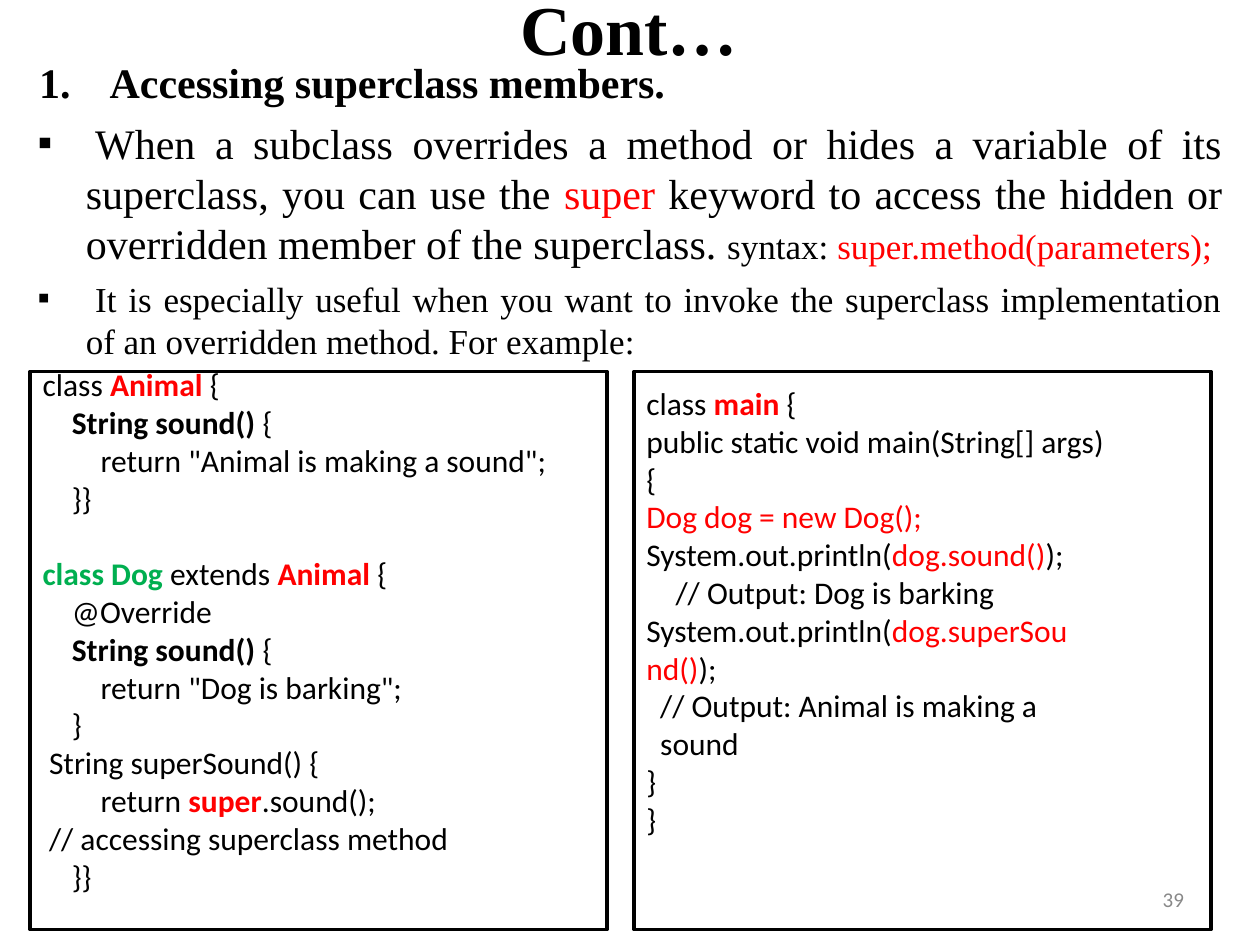
import pptx
import pptx.dml.color
import pptx.enum.shapes
import pptx.enum.text
import pptx.util
from lxml import etree
from pptx.oxml.ns import qn

Cm = pptx.util.Cm
Pt = pptx.util.Pt
ALIGN = pptx.enum.text.PP_ALIGN

COLORS = {"black": "000000", "red": "FF0000", "green": "00AF50", "gray": "888888"}
# run style: (colour, bold, size)
STYLES = {
    "red": ("red", None, None),
    "red small": ("red", None, 20),
    "small": (None, None, 20),
    "normal": (None, None, 24),
    "red normal": ("red", None, 24),
    "bold": (None, True, None),
    "red bold": ("red", True, None),
    "green bold": ("green", True, None),
}


def rgb(name):
    return pptx.dml.color.RGBColor.from_string(COLORS[name])


class SlideWriter:
    def __init__(self, slide):
        self.slide = slide

    def prepare(self, shape, top_inset=0):
        frame = shape.text_frame
        frame.word_wrap = True
        frame.vertical_anchor = pptx.enum.text.MSO_ANCHOR.TOP
        frame.margin_left = frame.margin_right = frame.margin_bottom = 0
        frame.margin_top = Cm(top_inset)
        return frame

    def text_box(self, left, top, width, height, top_inset=0):
        box = self.slide.shapes.add_textbox(Cm(left), Cm(top), Cm(width), Cm(height))
        return self.prepare(box, top_inset)

    def paragraph(self, frame, runs, font, size=None, color="black", bold=False,
                  align=ALIGN.LEFT, before=0, left=0, hang=0, right=0,
                  bullet=None, tabs=(), line=None):
        """Add runs given as plain strings or (text, style name) pairs."""
        first = frame.paragraphs[0]
        para = frame.add_paragraph() if first.runs else first
        para.alignment = align
        para.space_before = Pt(before)
        if line:
            para.line_spacing = line
        props = para._p.get_or_add_pPr()
        props.set("marL", str(Cm(left)))
        props.set("indent", str(-Cm(hang)))
        if right:
            props.set("marR", str(Cm(right)))
        if bullet == "number":
            etree.SubElement(props, qn("a:buAutoNum"), type="arabicPeriod")
        elif bullet:
            etree.SubElement(props, qn("a:buFont"), typeface=font)
            etree.SubElement(props, qn("a:buChar"), char=bullet)
        if tabs:
            stops = etree.SubElement(props, qn("a:tabLst"))
            for stop in tabs:
                etree.SubElement(stops, qn("a:tab"), pos=str(Cm(stop)), algn="l")
        para.font.name = font
        para.font.bold = bold
        para.font.color.rgb = rgb(color)
        if size:
            para.font.size = Pt(size)
        for part in runs:
            text, style = (part, None) if isinstance(part, str) else part
            run = para.add_run()
            run.text = text
            if style:
                run_color, run_bold, run_size = STYLES[style]
                if run_color:
                    run.font.color.rgb = rgb(run_color)
                if run_bold:
                    run.font.bold = True
                if run_size:
                    run.font.size = Pt(run_size)

    def code_box(self, left, lines, top_inset=0, first_line=None):
        """Draw a framed listing; each line is (indent, runs, paragraph options)."""
        box = self.slide.shapes.add_shape(
            pptx.enum.shapes.MSO_SHAPE.RECTANGLE, Cm(left), Cm(7.49), Cm(11.63), Cm(11.25))
        box.shadow.inherit = False
        box.fill.background()
        box.line.color.rgb = rgb("black")
        box.line.width = Pt(2)
        frame = self.prepare(box, top_inset)
        for number, (indent, runs, options) in enumerate(lines):
            self.paragraph(frame, runs, "Calibri", 18, left=indent,
                           line=None if number else first_line, **options)


OUTER, NARROW, MEMBER, BODY = 0.25, 0.38, 0.84, 1.42
NARROWED = {"right": 2.87}

ANIMAL_AND_DOG = [
    (OUTER, ["class ", ("Animal ", "red bold"), "{"], {}),
    (MEMBER, [("String sound() ", "bold"), "{"], {}),
    (BODY, ['return "Animal is making a sound";'], {}),
    (MEMBER, ["}}"], {}),
    (OUTER, [("class Dog ", "green bold"), "extends ", ("Animal ", "red bold"), "{"],
     {"before": 21.6}),
    (MEMBER, ["@Override"], {}),
    (MEMBER, [("String sound() ", "bold"), "{"], {}),
    (BODY, ['return "Dog is barking";'], {}),
    (MEMBER, ["}"], {}),
    (NARROW, ["String superSound() {"], {}),
    (BODY, ["return ", ("super", "red bold"), ".sound();"], {}),
    (NARROW, ["// accessing superclass method"], {}),
    (MEMBER, ["}}"], {}),
]

MAIN = [
    (OUTER, ["class ", ("main ", "red bold"), "{"], {}),
    (OUTER, ["public static void main(String[] args)"], {}),
    (OUTER, ["{"], {}),
    (OUTER, [("Dog dog = new Dog(); ", "red"), "System.out.println(",
             ("dog.sound()", "red"), ");"], NARROWED),
    (MEMBER, ["// Output: Dog is barking"], {}),
    (OUTER, ["System.out.println(", ("dog.superSound()", "red"), ");"], NARROWED),
    (0.53, ["// Output: Animal is making a sound"], NARROWED),
    (OUTER, ["}"], {}),
    (OUTER, ["}"], {}),
]


def main():
    deck = pptx.Presentation()
    deck.slide_width, deck.slide_height = Cm(25.4), Cm(19.05)
    writer = SlideWriter(deck.slides.add_slide(deck.slide_layouts[6]))
    serif = "Times New Roman"

    title = writer.text_box(10.46, -0.33, 4.47, 1.75, 0.03)
    writer.paragraph(title, ["Cont…"], serif, 40, bold=True, left=0.03)

    explanation = writer.text_box(0.74, 0.91, 23.9, 6.4, 0.23)
    writer.paragraph(explanation, ["Accessing superclass members."], serif, 24, bold=True,
                     align=ALIGN.JUSTIFY, left=1.47, hang=1.42, bullet="number", tabs=[1.47])
    point = {"align": ALIGN.JUSTIFY, "left": 0.99, "hang": 0.97, "bullet": "▪",
             "tabs": [0.99, 1.18]}
    writer.paragraph(explanation, [
        ("\tWhen a subclass overrides a method or hides a variable of its superclass, "
         "you can use the ", "normal"),
        ("super ", "red normal"),
        ("keyword to access the hidden or overridden member of the superclass. ", "normal"),
        ("syntax: ", "small"),
        ("super.method(parameters);", "red small"),
    ], serif, before=5.8, **point)
    writer.paragraph(explanation, [
        "\tIt is especially useful when you want to invoke the superclass implementation "
        "of an overridden method. For example:",
    ], serif, 20, before=5, **point)

    writer.code_box(0.61, ANIMAL_AND_DOG, first_line=Pt(18))
    writer.code_box(12.78, MAIN, top_inset=0.25)

    page_number = writer.text_box(23.44, 17.98, 0.5, 0.43)
    writer.paragraph(page_number, ["39"], "Calibri", 12, color="gray", line=Pt(11.4))

    deck.save("out.pptx")


if __name__ == "__main__":
    main()
